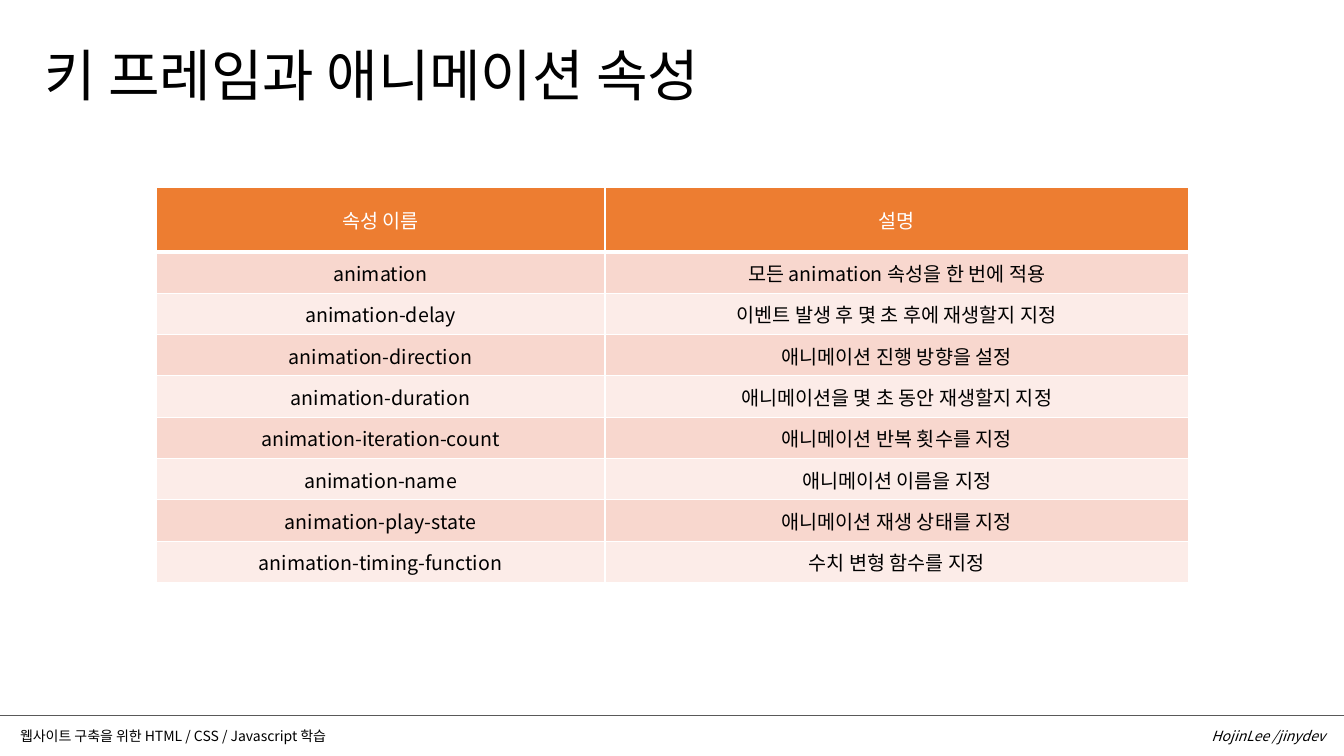
from dataclasses import dataclass

from lxml import etree
from pptx import Presentation
from pptx.dml.color import RGBColor
from pptx.enum.shapes import MSO_CONNECTOR
from pptx.enum.text import MSO_ANCHOR, MSO_AUTO_SIZE, PP_ALIGN
from pptx.oxml.ns import qn
from pptx.slide import Slide
from pptx.table import _Cell
from pptx.text.text import _Paragraph
from pptx.util import Inches, Pt

FONT = "Noto Sans CJK KR"
BLACK = RGBColor(0x00, 0x00, 0x00)
WHITE = RGBColor(0xFF, 0xFF, 0xFF)
GRAY = RGBColor(0x59, 0x59, 0x59)
ORANGE = RGBColor(0xED, 0x7D, 0x31)
BANDS = (RGBColor(0xF8, 0xD7, 0xCE), RGBColor(0xFC, 0xEC, 0xE8))
LEFT, CENTER, RIGHT = PP_ALIGN.LEFT, PP_ALIGN.CENTER, PP_ALIGN.RIGHT
MIDDLE = MSO_ANCHOR.MIDDLE
GROW = MSO_AUTO_SIZE.SHAPE_TO_FIT_TEXT
STRAIGHT = MSO_CONNECTOR.STRAIGHT

COLUMN_WIDTHS = (4.45, 5.79)
HEADER_HEIGHT = 0.64
ROW_HEIGHT = 0.41


@dataclass(frozen=True)
class Label:
    text: str
    left: float
    top: float
    width: float
    height: float
    size: float
    align: PP_ALIGN = LEFT
    italic: bool = False


@dataclass(frozen=True)
class Property:
    name: str
    description: str


LABELS = (
    Label("키 프레임과 애니메이션 속성", 0.34, 0.35, 12.41, 0.77, 40),
    Label("HojinLee /jinydev", 10.15, 7.17, 3.09, 0.27, 10, RIGHT, True),
    Label("웹사이트 구축을 위한 HTML / CSS / Javascript 학습",
          0.1, 7.17, 4.21, 0.27, 10),
)
HEADER = Property("속성 이름", "설명")
PROPERTIES = (
    Property("animation", "모든 animation 속성을 한 번에 적용"),
    Property("animation-delay", "이벤트 발생 후 몇 초 후에 재생할지 지정"),
    Property("animation-direction", "애니메이션 진행 방향을 설정"),
    Property("animation-duration", "애니메이션을 몇 초 동안 재생할지 지정"),
    Property("animation-iteration-count", "애니메이션 반복 횟수를 지정"),
    Property("animation-name", "애니메이션 이름을 지정"),
    Property("animation-play-state", "애니메이션 재생 상태를 지정"),
    Property("animation-timing-function", "수치 변형 함수를 지정"),
)


def write(p: _Paragraph, text: str, size: float, color: RGBColor,
          align: PP_ALIGN, italic: bool = False) -> None:
    p.text = text
    p.alignment = align
    for r in p.runs:
        r.font.name = FONT
        r.font.size = Pt(size)
        r.font.bold = False
        r.font.italic = italic
        r.font.color.rgb = color
        ea = etree.SubElement(r.font._element, qn("a:ea"))
        ea.set("typeface", FONT)


def add_label(slide: Slide, label: Label) -> None:
    sp = slide.shapes.add_textbox(Inches(label.left), Inches(label.top),
                                  Inches(label.width), Inches(label.height))
    tf = sp.text_frame
    tf.word_wrap = True
    tf.auto_size = GROW
    tf.vertical_anchor = MIDDLE
    write(tf.paragraphs[0], label.text, label.size, BLACK, label.align,
          label.italic)


def set_borders(cell: _Cell, bottom: float) -> None:
    tc_pr = cell._tc.get_or_add_tcPr()
    widths = {"a:lnL": 1, "a:lnR": 1, "a:lnT": 1, "a:lnB": bottom}
    for i, (tag, width) in enumerate(widths.items()):
        ln = etree.Element(qn(tag), w=str(Pt(width)))
        fill = etree.SubElement(ln, qn("a:solidFill"))
        etree.SubElement(fill, qn("a:srgbClr"), val=str(WHITE))
        tc_pr.insert(i, ln)


def fill_cell(cell: _Cell, text: str, fill: RGBColor, is_header: bool) -> None:
    cell.fill.solid()
    cell.fill.fore_color.rgb = fill
    cell.vertical_anchor = MIDDLE
    if not is_header:
        cell.margin_left = cell.margin_right = cell.margin_top = Inches(0.01)
        cell.margin_bottom = 0
    write(cell.text_frame.paragraphs[0], text, 14,
          WHITE if is_header else BLACK, CENTER)
    set_borders(cell, 3 if is_header else 1)


def add_property_table(slide: Slide) -> None:
    rows = (HEADER, *PROPERTIES)
    height = HEADER_HEIGHT + ROW_HEIGHT * len(PROPERTIES)
    table = slide.shapes.add_table(
        len(rows), len(COLUMN_WIDTHS), Inches(1.55), Inches(1.86),
        Inches(sum(COLUMN_WIDTHS)), Inches(height)).table
    for column, width in zip(table.columns, COLUMN_WIDTHS):
        column.width = Inches(width)
    for i, prop in enumerate(rows):
        is_header = i == 0
        table.rows[i].height = Inches(HEADER_HEIGHT if is_header else ROW_HEIGHT)
        fill = ORANGE if is_header else BANDS[(i - 1) % 2]
        for j, text in enumerate((prop.name, prop.description)):
            fill_cell(table.cell(i, j), text, fill, is_header)


def add_footer_rule(slide: Slide) -> None:
    rule = slide.shapes.add_connector(STRAIGHT, 0, Inches(7.1),
                                      Inches(13.33), Inches(7.1))
    rule.line.color.rgb = GRAY
    rule.line.width = Pt(0.5)
    etree.SubElement(rule._element.spPr, qn("a:effectLst"))


def main() -> None:
    prs = Presentation()
    prs.slide_width = Inches(13.33)
    prs.slide_height = Inches(7.5)
    slide = prs.slides.add_slide(prs.slide_layouts[6])
    add_property_table(slide)
    add_footer_rule(slide)
    for label in LABELS:
        add_label(slide, label)
    prs.save("out.pptx")


if __name__ == "__main__":
    main()
